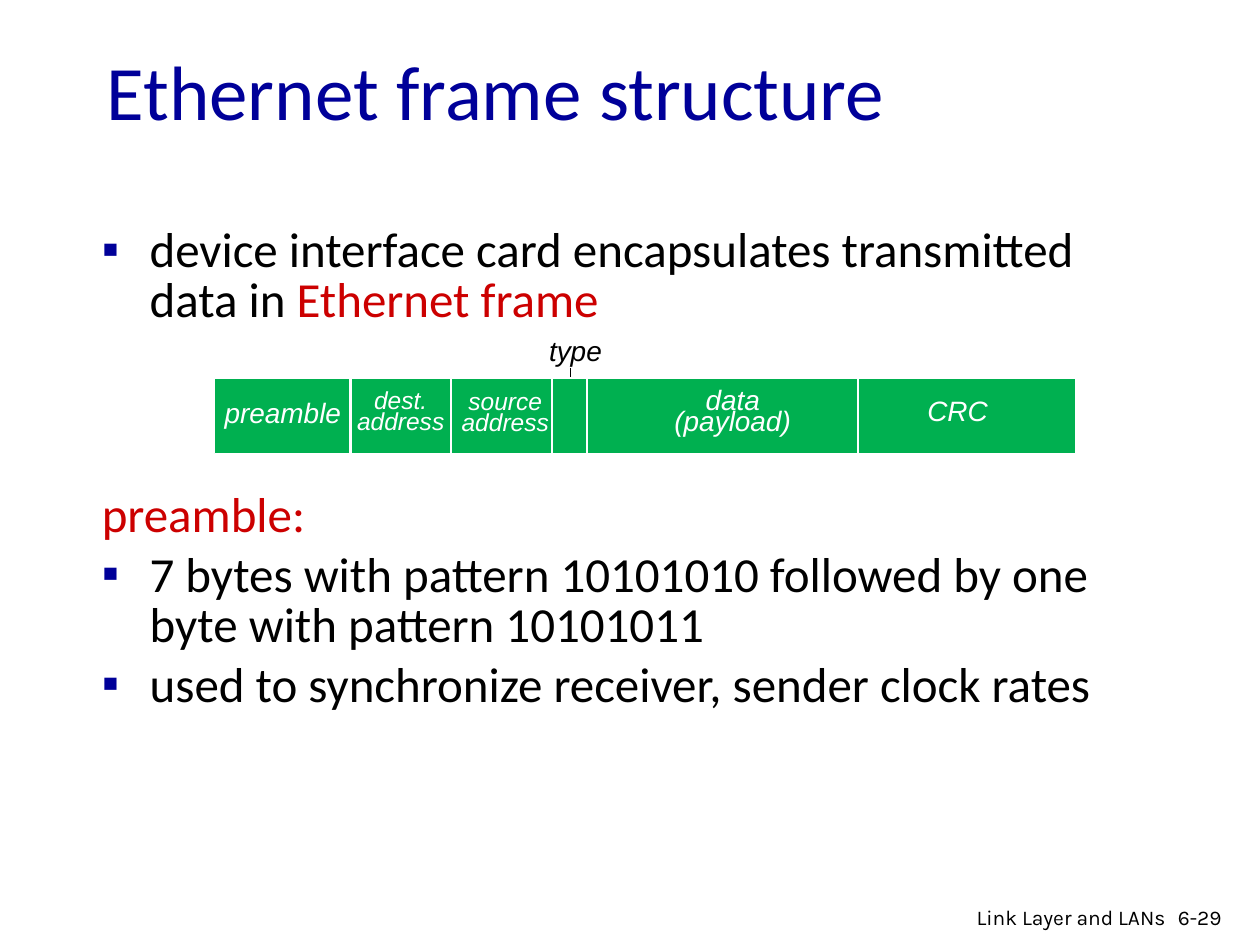
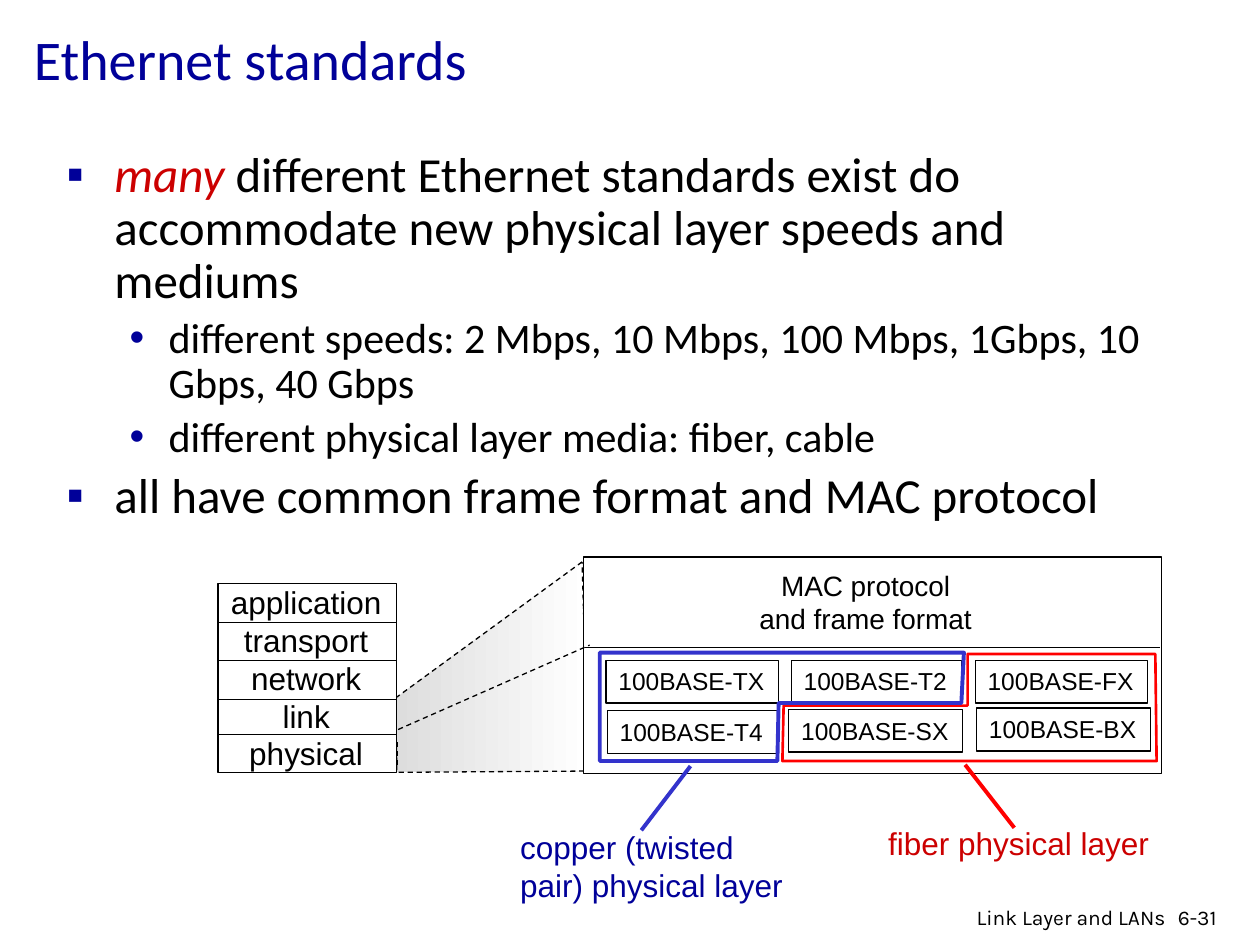
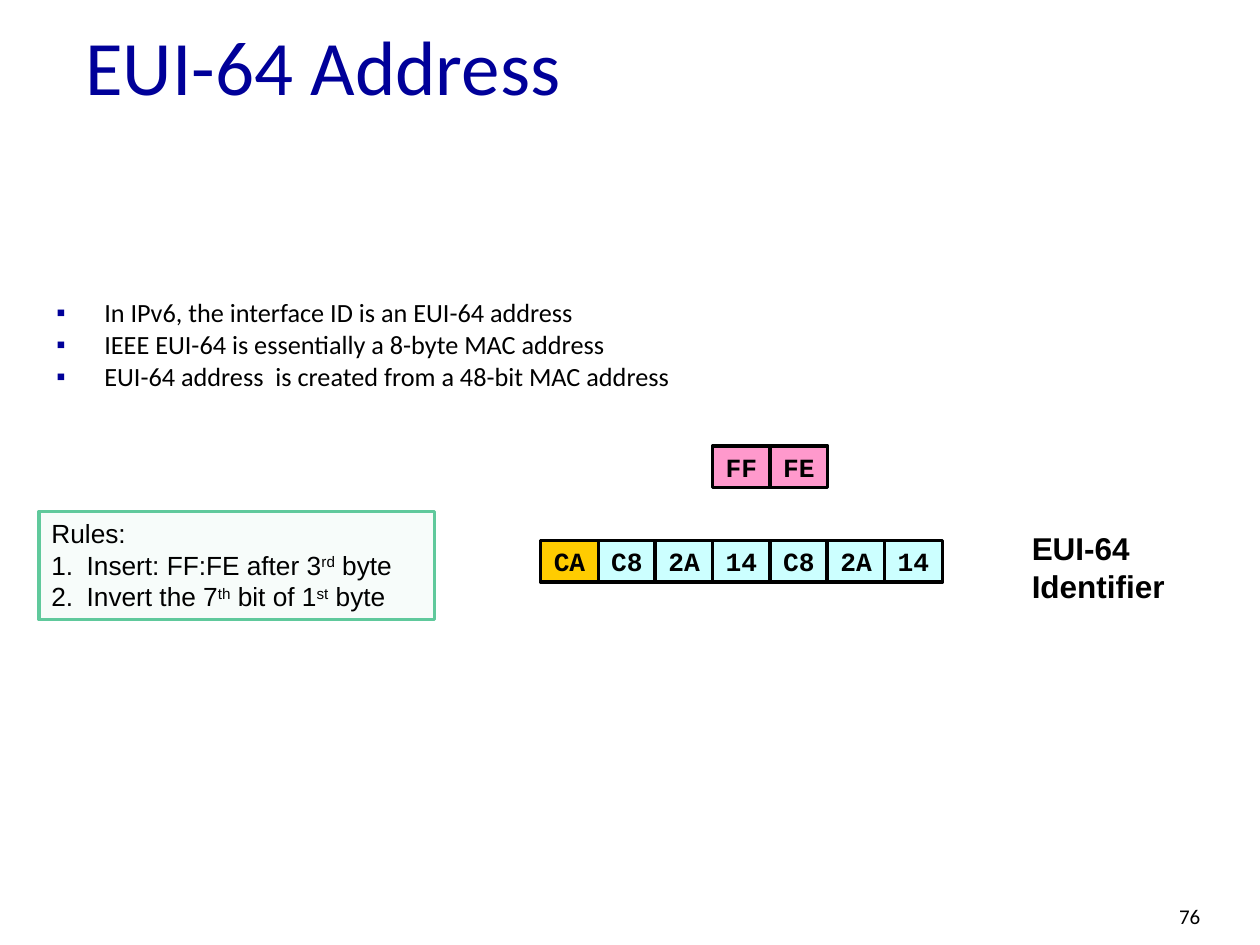
from dataclasses import dataclass, replace
from typing import Optional

from lxml.etree import SubElement
from pptx import Presentation
from pptx.dml.color import RGBColor
from pptx.enum.dml import MSO_LINE
from pptx.enum.shapes import MSO_CONNECTOR, MSO_SHAPE
from pptx.enum.text import MSO_ANCHOR, PP_ALIGN
from pptx.oxml.ns import qn
from pptx.util import Inches, Pt


@dataclass(frozen=True)
class Theme:
    navy: str = "000099"
    red: str = "CC0000"
    black: str = "000000"
    white: str = "FFFFFF"
    green: str = "00B050"
    gray: str = "DDDDDD"
    copper: str = "3333CC"
    fiber: str = "FF0000"
    mint: str = "DDF3EA"
    jade: str = "60C99C"
    aqua: str = "CCFFFF"
    pink: str = "FF99CC"
    gold: str = "FFCC00"
    head: str = "Calibri"
    sans: str = "Arial"
    mono: str = "Courier New"
    foot: str = "Karla"
    title: int = 44
    body: int = 28
    sub: int = 24
    label: int = 18
    note: int = 16
    code: int = 15
    tag: int = 14
    small: int = 12


T = Theme()


@dataclass(frozen=True)
class Run:
    text: str
    color: Optional[str] = None
    italic: bool = False
    raised: bool = False


@dataclass(frozen=True)
class Para:
    runs: tuple[Run, ...]
    size: int
    font: str = T.sans
    color: str = T.black
    bold: bool = False
    italic: bool = False
    align: PP_ALIGN = PP_ALIGN.LEFT
    lead: Optional[float] = None  # share of a line, or points when above 2
    before: float = 0
    left: float = 0
    hang: float = 0
    mark: str = ""  # bullet sign, or "1" for numbers


@dataclass(frozen=True)
class Box:
    x: float
    y: float
    w: float
    h: float
    fill: Optional[str] = None
    line: Optional[str] = None
    weight: float = 0.75
    wrap: bool = True
    middle: bool = False


@dataclass(frozen=True)
class Line:
    x1: float
    y1: float
    x2: float
    y2: float
    color: str = T.black
    weight: float = 0.75
    dash: bool = False


def rgb(code: str) -> RGBColor:
    return RGBColor.from_string(code)


def plain(text: str, size: int, **kind) -> Para:
    return Para((Run(text),), size, **kind)


def point(*runs: Run, size: int = T.body, lead: float = 0.85, sub: bool = False) -> Para:
    """A body line with a square bullet, or a round one below it."""
    left, hang, mark = (0.81, 0.31, "•") if sub else (0.38, 0.38, "▪")
    return Para(runs, size, T.head, lead=lead, before=size * 0.2,
                left=left, hang=hang, mark=mark)


# Text
def add_mark(para, item: Para) -> None:
    props = para._p.get_or_add_pPr()
    props.set("marL", str(Inches(item.left)))
    props.set("indent", str(-Inches(item.hang)))
    if item.mark == "1":
        SubElement(props, qn("a:buAutoNum"), type="arabicPeriod")
    elif item.mark:
        tint = SubElement(props, qn("a:buClr"))
        SubElement(tint, qn("a:srgbClr"), val=T.navy)
        SubElement(props, qn("a:buFont"), typeface=T.sans)
        SubElement(props, qn("a:buChar"), char=item.mark)


def write(shape, box: Box, items: list[Para]) -> None:
    frame = shape.text_frame
    frame.word_wrap = box.wrap
    frame.vertical_anchor = MSO_ANCHOR.MIDDLE if box.middle else MSO_ANCHOR.TOP
    for i, item in enumerate(items):
        para = frame.add_paragraph() if i else frame.paragraphs[0]
        add_mark(para, item)
        para.alignment = item.align
        if item.lead:
            para.line_spacing = Pt(item.lead) if item.lead > 2 else item.lead
        if i and item.before:
            para.space_before = Pt(item.before)
        font = para.font
        font.name, font.size = item.font, Pt(item.size)
        font.bold, font.italic = item.bold, item.italic
        font.color.rgb = rgb(item.color)
        for part in item.runs:
            run = para.add_run()
            run.text = part.text
            if part.color:
                run.font.color.rgb = rgb(part.color)
            if part.italic:
                run.font.italic = True
            if part.raised:
                run._r.get_or_add_rPr().set("baseline", "30000")


def add_text(slide, box: Box, *items: Para) -> None:
    spot = map(Inches, (box.x, box.y, box.w, box.h))
    write(slide.shapes.add_textbox(*spot), box, list(items))


# Shapes and lines
def paint(shape, fill: Optional[str], line: Optional[str], weight: float) -> None:
    shape.shadow.inherit = False
    if fill:
        shape.fill.solid()
        shape.fill.fore_color.rgb = rgb(fill)
    else:
        shape.fill.background()
    if line:
        shape.line.color.rgb = rgb(line)
        shape.line.width = Pt(weight)
    else:
        shape.line.fill.background()


def add_rect(slide, box: Box, *items: Para):
    spot = map(Inches, (box.x, box.y, box.w, box.h))
    shape = slide.shapes.add_shape(MSO_SHAPE.RECTANGLE, *spot)
    paint(shape, box.fill, box.line, box.weight)
    if items:
        write(shape, box, list(items))
    return shape


def add_line(slide, line: Line) -> None:
    ends = map(Inches, (line.x1, line.y1, line.x2, line.y2))
    link = slide.shapes.add_connector(MSO_CONNECTOR.STRAIGHT, *ends)
    link.line.color.rgb = rgb(line.color)
    link.line.width = Pt(line.weight)
    if line.dash:
        link.line.dash_style = MSO_LINE.DASH
    SubElement(link._element.spPr, qn("a:effectLst"))


def add_path(slide, spots: list[tuple[float, float]], color: str, weight: float):
    spots = [(Inches(x), Inches(y)) for x, y in spots]
    pen = slide.shapes.build_freeform(*spots[0])
    pen.add_line_segments(spots[1:], close=True)
    shape = pen.convert_to_shape()
    paint(shape, None, color, weight)
    return shape


# Shared slide parts
def add_title(slide, box: Box, text: str, size: int = T.title) -> None:
    add_text(slide, replace(box, middle=True),
             plain(text, size, font=T.head, color=T.navy))


def add_foot(slide, page: str) -> None:
    add_text(slide, Box(9.25, 7.13, 0.6, 0.3), plain(page, T.small, font=T.foot))
    add_text(slide, Box(6.97, 7.13, 2.38, 0.26),
             plain("Link Layer and LANs", T.small, font=T.foot, align=PP_ALIGN.RIGHT))


def draw_frame(slide) -> None:
    add_title(slide, Box(0.75, 0.38, 8.5, 0.67), "Ethernet frame structure")
    add_text(
        slide, Box(0.71, 1.76, 8.5, 4.75),
        point(Run("device interface card encapsulates transmitted data in "),
              Run("Ethernet frame", T.red)),
        replace(point(Run("preamble:")), color=T.red, mark="", before=94),
        point(Run("7 bytes with pattern 10101010 followed by one byte "
                  "with pattern 10101011")),
        point(Run("used to synchronize receiver, sender clock rates")))

    # Frame bar with its fields
    add_line(slide, Line(4.53, 2.92, 4.53, 3.14))
    add_rect(slide, Box(1.7, 3, 6.84, 0.6, T.green, T.white))
    for x in (2.78, 3.58, 4.38, 4.66, 6.81):
        add_line(slide, Line(x, 3, x, 3.6, T.white, 1.5))
    fields = [
        (Box(2.72, 3.07, 0.92, 0.45), T.tag, ("dest.", "address")),
        (Box(3.55, 3.08, 0.92, 0.45), T.tag, ("source", "address")),
        (Box(5.06, 3.09, 1.51, 0.45), T.note, ("data (payload)",)),
        (Box(7.13, 3.17, 0.94, 0.29), T.note, ("CRC",)),
        (Box(1.66, 3.19, 1.17, 0.29), T.note, ("preamble",)),
    ]
    for box, size, words in fields:
        add_text(slide, box, *(plain(word, size, color=T.white, italic=True, lead=12,
                                     align=PP_ALIGN.CENTER) for word in words))
    add_text(slide, Box(4.26, 2.6, 0.84, 0.37), plain("type", T.note, italic=True))
    add_foot(slide, "6-29")


def draw_norms(slide) -> None:
    add_title(slide, Box(0.17, 0.1, 3.98, 0.73), "Ethernet standards", 32)
    add_text(
        slide, Box(0.43, 1.14, 8.81, 3.1),
        point(Run("many ", T.red, italic=True),
              Run("different Ethernet standards exist do accommodate new "
                  "physical layer speeds and mediums"), lead=0.9),
        point(Run("different speeds: 2 Mbps, 10 Mbps, 100 Mbps, 1Gbps, 10 Gbps, 40 Gbps"),
              size=T.sub, lead=0.9, sub=True),
        point(Run("different physical layer media: fiber, cable"),
              size=T.sub, lead=0.9, sub=True),
        point(Run("all have common frame format and MAC protocol"), lead=0.9))

    # Shaded zoom from the link layer
    zoom = add_path(slide, [(4.62, 4.46), (3.14, 5.54), (3.15, 6.13), (4.67, 6.12)],
                    T.black, 0.75)
    zoom.line.dash_style = MSO_LINE.DASH
    zoom.fill.gradient()
    zoom.fill.gradient_angle = 0
    for stop, tint, place in zip(zoom.fill.gradient_stops, (T.gray, T.white), (0, 1)):
        stop.color.rgb = rgb(tint)
        stop.position = place

    # Layer stack
    add_rect(slide, Box(1.73, 4.63, 1.42, 1.5, T.white, T.black))
    layers = ("application", "transport", "network", "link", "physical")
    add_text(slide, Box(1.73, 4.58, 1.4, 1.6, wrap=False),
             *(plain(name, T.label, align=PP_ALIGN.CENTER) for name in layers))
    for y in (4.94, 5.24, 5.55, 5.83):
        add_line(slide, Line(1.73, y, 3.15, y))
    for x, y in ((1.73, 5.91), (3.15, 5.89)):
        add_line(slide, Line(x, y, x, y + 0.19, dash=True))

    # Link and physical layer in detail
    add_rect(slide, Box(4.63, 4.42, 4.59, 1.72, T.white, T.black))
    add_line(slide, Line(4.64, 5.14, 9.21, 5.14))
    add_text(slide, Box(5.92, 4.46, 1.9, 0.64, wrap=False),
             *(plain(text, T.note, align=PP_ALIGN.CENTER)
               for text in ("MAC protocol", "and frame format")))
    add_line(slide, Line(3.16, 5.79, 4.68, 5.12, dash=True))
    kinds = [
        ("TX", 4.81, 5.24, 1.37), ("T4", 4.82, 5.64, 1.35), ("FX", 7.74, 5.24, 1.37),
        ("T2", 6.28, 5.24, 1.35), ("SX", 6.26, 5.63, 1.38), ("BX", 7.75, 5.62, 1.38),
    ]
    for kind, x, y, w in kinds:
        add_rect(slide, Box(x, y, w, 0.34, line=T.black, wrap=False),
                 plain(f"100BASE-{kind}", T.tag))

    # Media outlines and their labels
    add_path(slide, [(7.68, 5.19), (7.68, 5.6), (6.22, 5.6), (6.21, 6.04),
                     (9.18, 6.04), (9.17, 5.19)], T.fiber, 1.5)
    add_line(slide, Line(7.66, 6.07, 8.05, 6.57, T.fiber, 2.25))
    add_text(slide, Box(6.95, 6.49, 2.29, 0.4, wrap=False),
             plain("fiber physical layer", T.label, color=T.red))
    add_path(slide, [(7.65, 5.18), (7.63, 5.58), (6.18, 5.58), (6.17, 6.04),
                     (4.76, 6.04), (4.76, 5.18)], T.copper, 2.25)
    add_line(slide, Line(5.48, 6.08, 5.09, 6.59, T.copper, 2.25))
    add_text(slide, Box(4.03, 6.52, 2.31, 0.71, wrap=False),
             *(plain(text, T.label, color=T.navy)
               for text in ("copper (twisted", "pair) physical layer")))
    add_foot(slide, "6-31")


def draw_eui(slide) -> None:
    add_text(slide, Box(0.35, 2.34, 8.33, 4.23),
             *(point(Run(text), size=T.code) for text in (
                 "In IPv6, the interface ID is an EUI-64 address",
                 "IEEE EUI-64 is essentially a 8-byte MAC address",
                 "EUI-64 address  is created from a 48-bit MAC address")))
    add_title(slide, Box(0.58, 0.25, 8.5, 0.52), "EUI-64 Address")

    # Rules
    rule = Para((), T.code, left=0.28, hang=0.28, mark="1")
    card = add_rect(
        slide, Box(0.31, 4.06, 3.14, 0.86, T.mint, T.jade, 1.75),
        plain("Rules:", T.code),
        replace(rule, runs=(Run("Insert: FF:FE after 3"), Run("rd", raised=True),
                            Run(" byte"))),
        replace(rule, runs=(Run("Invert the 7"), Run("th", raised=True),
                            Run(" bit of 1"), Run("st", raised=True), Run(" byte"))))
    tint = card._element.spPr.find(qn("a:solidFill")).find(qn("a:srgbClr"))
    SubElement(tint, qn("a:alpha"), val="22000")

    # Address bytes, one cell each, the first one on top
    cells = [(i, 4.29, code, T.aqua if i else T.gold)
             for i, code in enumerate("CA C8 2A 14 C8 2A 14".split())]
    cells += [(3, 3.54, "FF", T.pink), (4, 3.54, "FE", T.pink)]
    for i, y, code, fill in sorted(cells, key=lambda cell: cell[0] == 0):
        add_rect(slide, Box(4.29 + 0.455 * i, y, 0.46, 0.33, fill, T.black, 2, middle=True),
                 plain(code, T.code, font=T.mono, bold=True, align=PP_ALIGN.CENTER))
    add_rect(slide, Box(8.09, 4.15, 1.91, 0.71, T.white),
             plain("EUI-64 Identifier", T.label, bold=True))
    add_text(slide, Box(9.26, 7.12, 0.74, 0.5), plain("76", T.small, font=T.head))


def main() -> None:
    deck = Presentation()
    deck.slide_width, deck.slide_height = Inches(10), Inches(7.5)
    for draw in (draw_frame, draw_norms, draw_eui):
        draw(deck.slides.add_slide(deck.slide_layouts[6]))
    deck.save("out.pptx")


if __name__ == "__main__":
    main()
